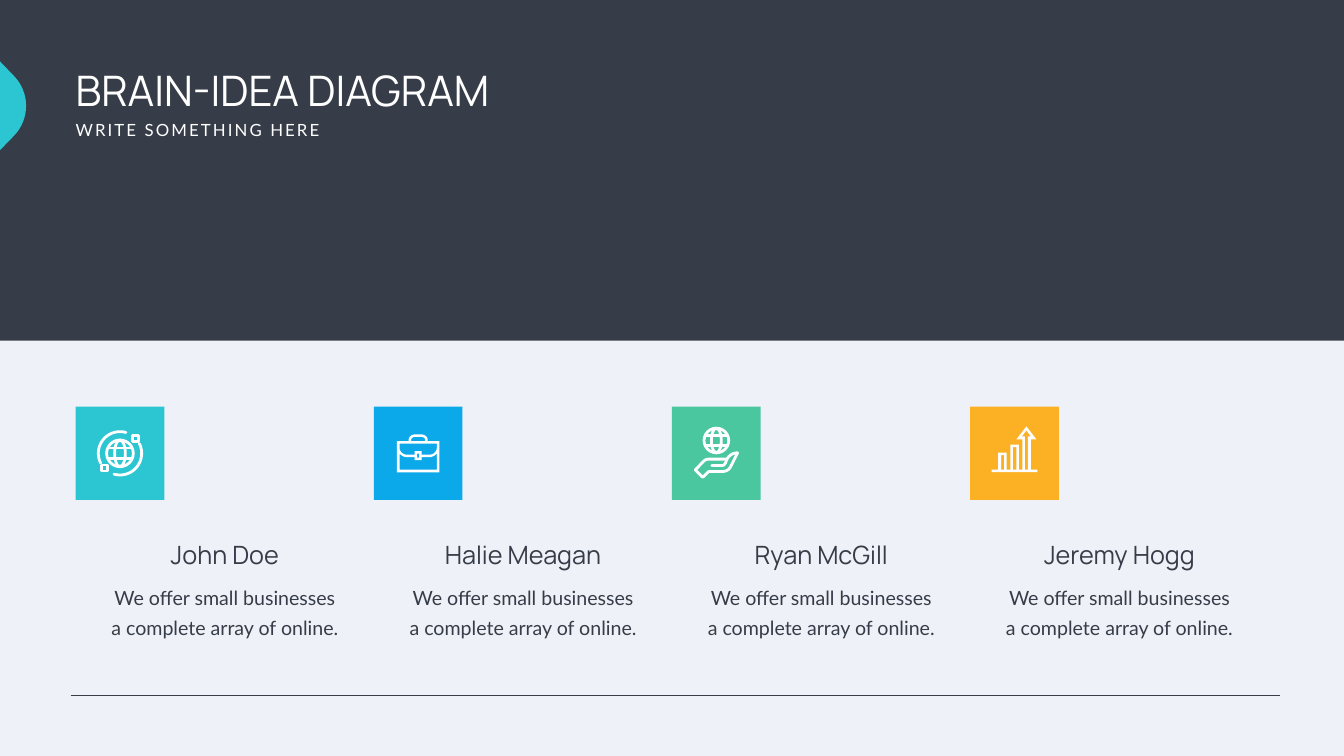
from math import cos, radians, sin

from lxml import etree
from pptx import Presentation
from pptx.dml.color import RGBColor
from pptx.enum.shapes import MSO_CONNECTOR, MSO_SHAPE
from pptx.enum.text import MSO_AUTO_SIZE, PP_ALIGN
from pptx.oxml.ns import qn
from pptx.util import Inches, Pt

RECTANGLE = MSO_SHAPE.RECTANGLE
OVAL = MSO_SHAPE.OVAL
STRAIGHT = MSO_CONNECTOR.STRAIGHT
FIT_SHAPE = MSO_AUTO_SIZE.SHAPE_TO_FIT_TEXT
LEFT = PP_ALIGN.LEFT
CENTER = PP_ALIGN.CENTER

COLORS = {
    "dark": "363D48",
    "pale": "EFF1F8",
    "white": "FFFFFF",
    "teal": "2CC5D2",
    "blue": "0BA9E9",
    "green": "4BC79F",
    "amber": "FBB123",
}
HEADING_FONT = "Manrope"
BODY_FONT = "Lato"
DESCRIPTION = "We offer small businesses a complete array of online."
COLUMN_LEFT = 1.5
COLUMN_PITCH = 5.915
TILE_TOP, TILE_WIDTH, TILE_HEIGHT = 8.07, 1.76, 1.85


def color(name):
    return RGBColor.from_string(COLORS[name])


def curve(start, first, second, end, steps=16):
    points = []
    for step in range(steps + 1):
        t = step / steps
        weights = ((1 - t) ** 3, 3 * t * (1 - t) ** 2, 3 * t * t * (1 - t), t ** 3)
        points.append(tuple(
            sum(weight * value for weight, value in zip(weights, values))
            for values in zip(start, first, second, end)
        ))
    return points


def arc(radius, start, end, steps=32):
    angles = [radians(start + (end - start) * step / steps) for step in range(steps + 1)]
    return [(radius * cos(angle), radius * sin(angle)) for angle in angles]


def turn(points, degrees):
    cosine, sine = cos(radians(degrees)), sin(radians(degrees))
    return [(x * cosine - y * sine, x * sine + y * cosine) for x, y in points]


def symmetric(points):
    return points + [(-x, y) for x, y in reversed(points)]


def box(left, top, right, bottom):
    return [(left, top), (right, top), (right, bottom), (left, bottom)]


class SlideBuilder:
    def __init__(self, slide):
        self.slide = slide
        self.origin = (0, 0)
        self.stroke = 4

    def paint(self, shape, fill=None, line=None):
        shape.shadow.inherit = False
        if fill:
            shape.fill.solid()
            shape.fill.fore_color.rgb = color(fill)
        else:
            shape.fill.background()
        if line:
            shape.line.color.rgb = color(line)
            shape.line.width = Pt(self.stroke)
            shape.line._get_or_add_ln().set("cap", "rnd")
        else:
            shape.line.fill.background()

    def shape(self, kind, left, top, width, height, fill=None, line=None):
        x, y = self.origin
        shape = self.slide.shapes.add_shape(
            kind, Inches(x + left), Inches(y + top), Inches(width), Inches(height))
        self.paint(shape, fill, line)

    def freeform(self, *contours, fill=None, line=None, close=True):
        x, y = self.origin
        placed = [[(Inches(x + left), Inches(y + top)) for left, top in contour]
                  for contour in contours]
        builder = self.slide.shapes.build_freeform(*placed[0][0], scale=1.0)
        for number, points in enumerate(placed):
            if number:
                builder.move_to(*points[0])
            builder.add_line_segments(points[1:], close=close)
        shape = builder.convert_to_shape()
        self.paint(shape, fill, line)
        return shape

    def stroke_path(self, points, close=False):
        self.freeform(points, line="white", close=close)

    def rule(self, start, end, line, width):
        connector = self.slide.shapes.add_connector(
            STRAIGHT, *[Inches(value) for value in (*start, *end)])
        connector.line.color.rgb = color(line)
        connector.line.width = Pt(width)
        etree.SubElement(connector._element.spPr, qn("a:effectLst"))

    def text(self, text, left, top, width, height, *, size, font, fill,
             align=LEFT, wrap=True, insets=(0.1, 0.05), line_spacing=None, tracking=None):
        frame = self.slide.shapes.add_textbox(
            Inches(left), Inches(top), Inches(width), Inches(height)).text_frame
        frame.word_wrap = wrap
        frame.auto_size = FIT_SHAPE
        frame.margin_left = frame.margin_right = Inches(insets[0])
        frame.margin_top = frame.margin_bottom = Inches(insets[1])
        paragraph = frame.paragraphs[0]
        paragraph.alignment = align
        if line_spacing:
            paragraph.line_spacing = Pt(line_spacing)
        run = paragraph.add_run()
        run.text = text
        run.font.size = Pt(size)
        run.font.name = font
        run.font.color.rgb = color(fill)
        if tracking:
            run._r.get_or_add_rPr().set("spc", str(tracking * 100))

    def edge_marker(self):
        outline = [(0, -0.88)] + curve((0.27, -0.6), (0.6, -0.27), (0.6, 0.27), (0.27, 0.6))
        self.origin = (0, 2.1)
        marker = self.freeform(turn(outline + [(0, 0.88)], -225), fill="teal")
        marker.rotation = 225
        self.origin = (0, 0)

    def globe(self, center_y, radius):
        for half_width in (radius, radius * 0.4):
            self.shape(OVAL, -half_width, center_y - radius,
                       2 * half_width, 2 * radius, line="white")
        for offset in (-0.4 * radius, 0.4 * radius):
            self.stroke_path([(-0.9 * radius, center_y + offset),
                              (0.9 * radius, center_y + offset)])

    def orbit_icon(self):
        self.globe(0, 0.265)
        for start, side in ((-27, 1), (153, -1)):
            self.stroke_path(arc(0.43, start, start + 133))
            self.shape(RECTANGLE, side * 0.305 - 0.06, -side * 0.29 - 0.06,
                       0.12, 0.12, line="white")

    def briefcase_icon(self):
        outside = symmetric(
            [(-0.42, 0.375), (-0.42, -0.245), (-0.19, -0.245)]
            + curve((-0.19, -0.265), (-0.19, -0.325), (-0.13, -0.375), (-0.07, -0.375)))
        handle = symmetric([(-0.14, -0.245)] + curve(
            (-0.14, -0.265), (-0.14, -0.295), (-0.11, -0.325), (-0.07, -0.325)))
        flap = symmetric([(-0.37, -0.195)] + curve(
            (-0.37, -0.115), (-0.37, -0.035), (-0.3, 0.025), (-0.23, 0.025))
            + [(-0.07, 0.025), (-0.07, -0.045)])
        body = symmetric([(-0.37, 0.325)] + curve(
            (-0.37, 0.005), (-0.33, 0.045), (-0.28, 0.075), (-0.23, 0.075))
            + [(-0.07, 0.075), (-0.07, 0.135)])
        clasp = box(-0.02, 0.005, 0.02, 0.085)
        self.freeform(outside, handle, flap, body, clasp, fill="white")

    def hand_icon(self):
        self.globe(-0.255, 0.245)
        palm = [(-0.42, 0.33)]
        palm += curve((-0.245, 0.15), (-0.22, 0.13), (-0.19, 0.115), (-0.16, 0.115))
        palm += curve((0.21, 0.115), (0.26, 0.03), (0.34, -0.01), (0.42, -0.01))
        palm += curve((0.285, 0.26), (0.25, 0.33), (0.19, 0.36), (0.12, 0.36))
        palm += [(-0.15, 0.36), (-0.27, 0.475)]
        self.stroke_path(palm, close=True)
        self.stroke_path([(-0.09, 0.24)] + curve(
            (0.12, 0.24), (0.15, 0.24), (0.175, 0.22), (0.21, 0.115)))

    def growth_icon(self):
        base, bottom = 0.325, 0.375
        outside = [
            (-0.455, bottom), (-0.455, base), (-0.325, base), (-0.325, -0.015),
            (-0.155, -0.015), (-0.155, base), (-0.085, base), (-0.085, -0.175),
            (0.085, -0.175), (0.085, base), (0.155, base), (0.155, -0.275),
            (0.035, -0.275), (0.235, -0.535), (0.435, -0.275), (0.325, -0.275),
            (0.325, base), (0.455, base), (0.455, bottom),
        ]
        arrow = [(0.205, base), (0.205, -0.335), (0.145, -0.335), (0.235, -0.455),
                 (0.325, -0.335), (0.265, -0.335), (0.265, base)]
        self.freeform(outside, box(-0.265, 0.035, -0.205, base),
                      box(-0.035, -0.125, 0.035, base), arrow, fill="white")

    def column(self, index, name, fill, icon):
        left = COLUMN_LEFT + index * COLUMN_PITCH
        self.shape(RECTANGLE, left, TILE_TOP, TILE_WIDTH, TILE_HEIGHT, fill)
        self.origin = (left + TILE_WIDTH / 2, TILE_TOP + TILE_HEIGHT / 2)
        icon()
        self.origin = (0, 0)
        self.text(name, left + 0.46, 10.66, 5, 0.71, size=36, font=HEADING_FONT,
                  fill="dark", align=CENTER)
        self.text(DESCRIPTION, left + 0.46, 11.37, 5, 1.38, size=28, font=BODY_FONT,
                  fill="dark", align=CENTER, insets=(0.24, 0.12), line_spacing=43)


def main():
    presentation = Presentation()
    presentation.slide_width, presentation.slide_height = Inches(26.66), Inches(15)
    slide = presentation.slides.add_slide(presentation.slide_layouts[6])
    slide.background.fill.solid()
    slide.background.fill.fore_color.rgb = color("dark")
    builder = SlideBuilder(slide)
    builder.shape(RECTANGLE, 0, 6.76, 26.66, 8.24, "pale")
    builder.rule((1.4, 13.79), (25.4, 13.79), "dark", 0.5)
    builder.text("BRAIN-IDEA DIAGRAM", 1.4, 1.24, 16.06, 1.11, size=60,
                 font=HEADING_FONT, fill="white")
    builder.text("WRITE SOMETHING HERE", 1.4, 2.33, 5.14, 0.5, size=24,
                 font=BODY_FONT, fill="white", wrap=False, tracking=3)
    builder.edge_marker()
    columns = (
        ("John Doe", "teal", builder.orbit_icon),
        ("Halie Meagan", "blue", builder.briefcase_icon),
        ("Ryan McGill", "green", builder.hand_icon),
        ("Jeremy Hogg", "amber", builder.growth_icon),
    )
    for index, (name, fill, icon) in enumerate(columns):
        builder.column(index, name, fill, icon)
    presentation.save("out.pptx")


if __name__ == "__main__":
    main()
